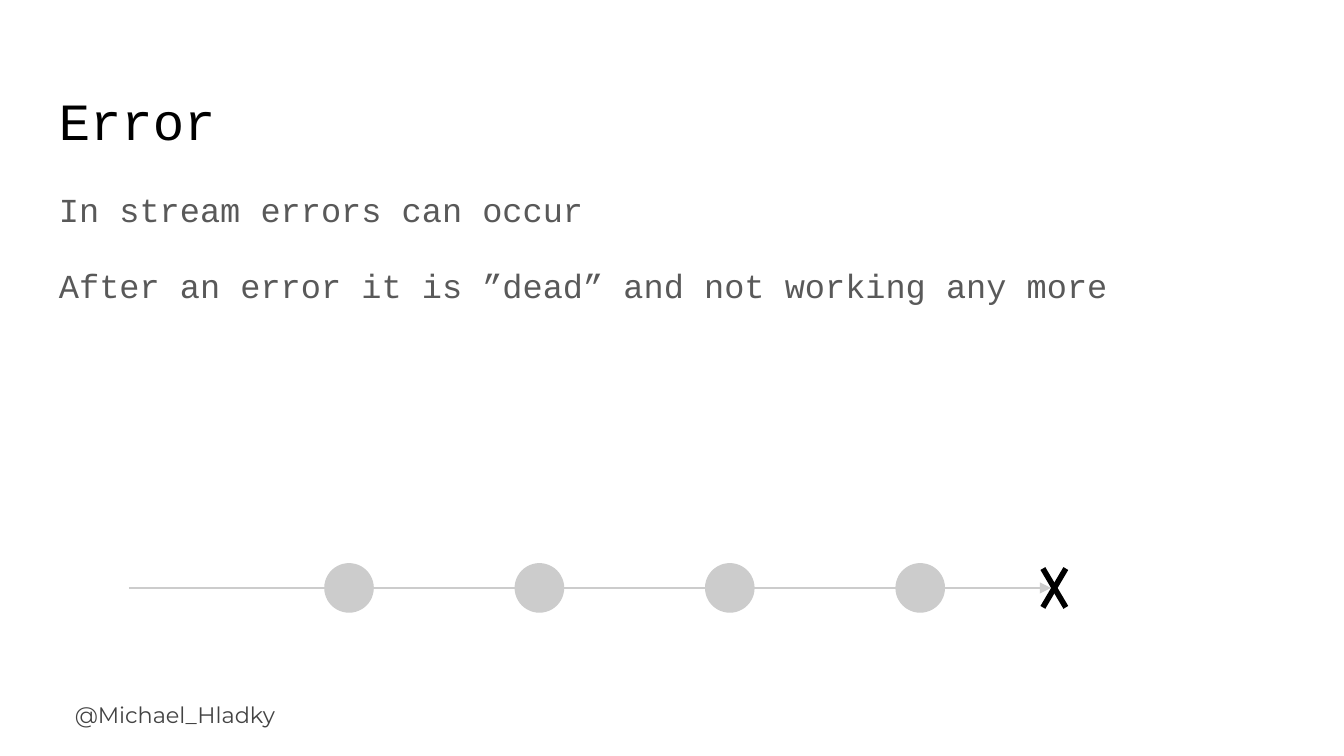
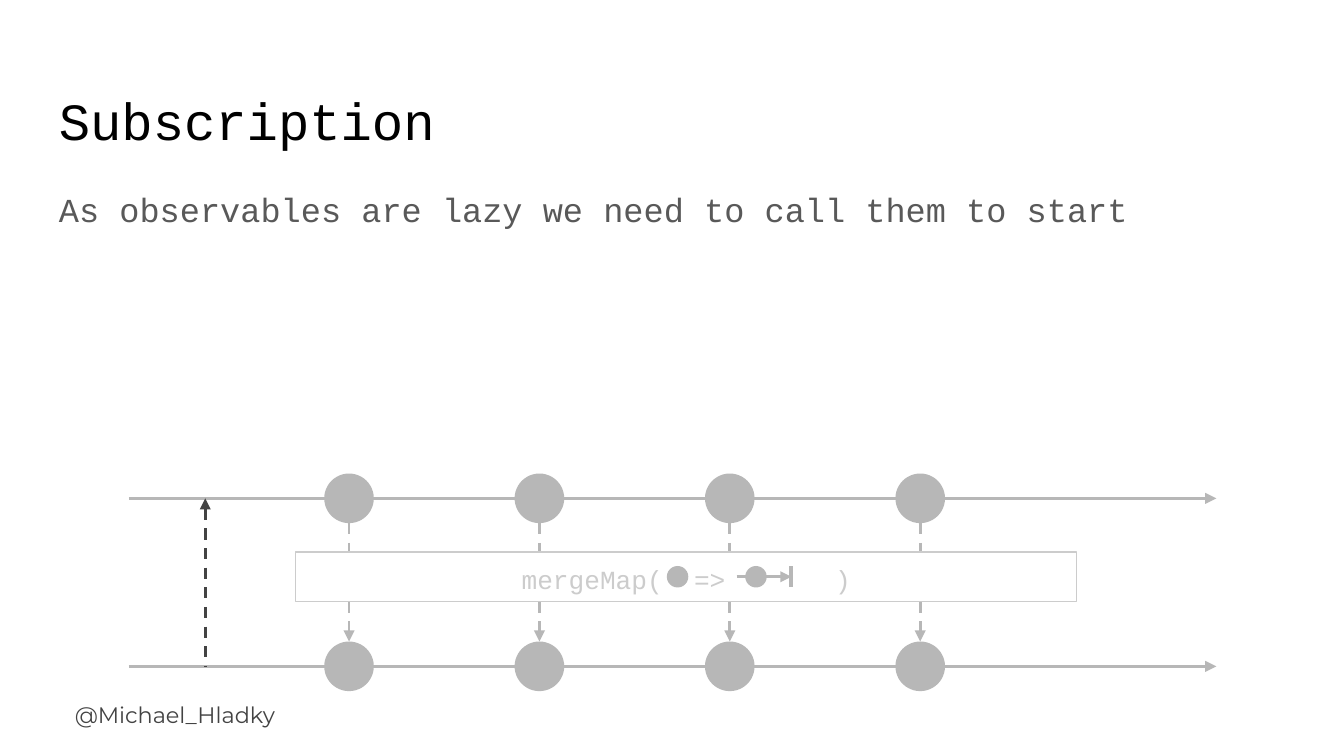
from lxml import etree
from pptx import Presentation
from pptx.dml.color import RGBColor
from pptx.enum import dml, shapes, text
from pptx.oxml import ns
from pptx.util import Pt

BLACK = RGBColor(0, 0, 0)
WHITE = RGBColor(255, 255, 255)
DARK = RGBColor(0x43, 0x43, 0x43)
BODY = RGBColor(0x59, 0x59, 0x59)
GREY = RGBColor(0xB7, 0xB7, 0xB7)
PALE = RGBColor(0xCC, 0xCC, 0xCC)
MONO, SANS = "Courier New", "Montserrat"

FOOTER = "@Michael_Hladky"
ERROR = ("Error", ["In stream errors can occur",
                   "After an error it is ”dead” and not working any more"])
SUBSCRIBE = ("Subscription",
             ["As observables are lazy we need to call them to start"])
CODE = "mergeMap(\t=>\t)"
CODE_STOPS = (11, 20)  # character columns of the arrow and the bracket

DOT, SMALL = 26.6, 11.5
START, STOP, END = 69, 563, 651.6
STEPS = [187 + 102 * i for i in range(4)]
ERROR_Y, SOURCE_Y, RESULT_Y = 315, 267, 357
BOX = (158.4, 295.7, 418.3, 26.6)
CODE_X, CODE_SIZE = 279.4, 14


def write(frame, lines, size, color, font=MONO, spacing=1.15, gap=0,
          anchor=text.MSO_ANCHOR.TOP, left=7.2, stops=()):
    frame.word_wrap = True
    frame.vertical_anchor = anchor
    frame.margin_left = Pt(left)
    frame.margin_right = frame.margin_top = frame.margin_bottom = Pt(7.2)
    for i, line in enumerate(lines):
        para = frame.add_paragraph() if i else frame.paragraphs[0]
        para.alignment = text.PP_ALIGN.LEFT
        para.line_spacing = spacing
        if i:
            para.space_before = Pt(gap)
        if stops:
            tabs = etree.SubElement(para._p.get_or_add_pPr(), ns.qn("a:tabLst"))
            for stop in stops:
                etree.SubElement(tabs, ns.qn("a:tab"), pos=str(Pt(stop)), algn="l")
        run = para.add_run()
        run.text = line
        run.font.size, run.font.name = Pt(size), font
        run.font.color.rgb = color


def label(slide, box, lines, size, color, **style):
    frame = slide.shapes.add_textbox(*map(Pt, box)).text_frame
    write(frame, lines, size, color, **style)
    return frame


def line(slide, x1, y1, x2, y2, color, width=1.5, dash=False, arrow=None):
    """Draw a line; arrow is 'headEnd' (at its start) or 'tailEnd'."""
    link = slide.shapes.add_connector(
        shapes.MSO_CONNECTOR.STRAIGHT, *map(Pt, (x1, y1, x2, y2)))
    link.line.color.rgb = color
    link.line.width = Pt(width)
    if dash:
        link.line.dash_style = dml.MSO_LINE.DASH
    if arrow:
        etree.SubElement(link.line._get_or_add_ln(), ns.qn("a:" + arrow),
                         type="triangle")
    etree.SubElement(link._element.spPr, ns.qn("a:effectLst"))


def shape(slide, kind, box, fill, edge=None):
    item = slide.shapes.add_shape(kind, *map(Pt, box))
    item.shadow.inherit = False
    item.fill.solid()
    item.fill.fore_color.rgb = fill
    if edge is None:
        item.line.fill.background()
    else:
        item.line.color.rgb = edge
        item.line.width = Pt(0.75)
    return item


def dot(slide, x, y, color, size=DOT):
    shape(slide, shapes.MSO_SHAPE.OVAL,
          (x - size / 2, y - size / 2, size, size), color)


def stream(slide, y, end, color):
    """Draw a time line with its four values."""
    line(slide, START, y, end, y, color, arrow="tailEnd")
    for x in STEPS:
        dot(slide, x, y, color)


def page(deck, title, body):
    slide = deck.slides.add_slide(deck.slide_layouts[6])
    slide.background.fill.solid()
    slide.background.fill.fore_color.rgb = WHITE
    label(slide, (33, 368.6, 161, 32.4), [FOOTER], 12, DARK, font=SANS, spacing=1)
    label(slide, (24.5, 35.3, 621.4, 45.4), [title], 28, BLACK)
    frame = label(slide, (24.5, 90.7, 671, 269.3), body, 18, BODY, gap=16)
    frame.auto_size = text.MSO_AUTO_SIZE.TEXT_TO_FIT_SHAPE
    return slide


def error(deck):
    slide = page(deck, *ERROR)
    stream(slide, ERROR_Y, STOP, PALE)
    left, right, top, bottom = 558.7, 571, 304.6, 325.4
    line(slide, right, top, left, bottom, BLACK, 3)
    line(slide, left, top, right, bottom, BLACK, 3)


def subscribe(deck):
    slide = page(deck, *SUBSCRIBE)
    for y in (SOURCE_Y, RESULT_Y):
        stream(slide, y, END, GREY)
    for x in STEPS:
        line(slide, x, SOURCE_Y + DOT / 2, x, RESULT_Y - DOT / 2, GREY,
             dash=True, arrow="tailEnd")
    box = shape(slide, shapes.MSO_SHAPE.RECTANGLE, BOX, WHITE, PALE)
    write(box.text_frame, [CODE], CODE_SIZE, PALE,
          anchor=text.MSO_ANCHOR.MIDDLE, left=CODE_X - BOX[0],
          stops=[n * CODE_SIZE * 0.6 for n in CODE_STOPS])
    mid = BOX[1] + BOX[3] / 2
    line(slide, 394.6, mid, 424, mid, GREY, arrow="tailEnd")
    line(slide, 423.6, mid - 5.6, 423.6, mid + 5.6, GREY, 2.25)
    for x in (363, 405):
        dot(slide, x, mid, GREY, SMALL)
    line(slide, 110, SOURCE_Y, 110, RESULT_Y, DARK, dash=True, arrow="headEnd")


def main():
    deck = Presentation()
    deck.slide_width, deck.slide_height = Pt(720), Pt(405)
    error(deck)
    subscribe(deck)
    deck.save("out.pptx")


if __name__ == "__main__":
    main()
